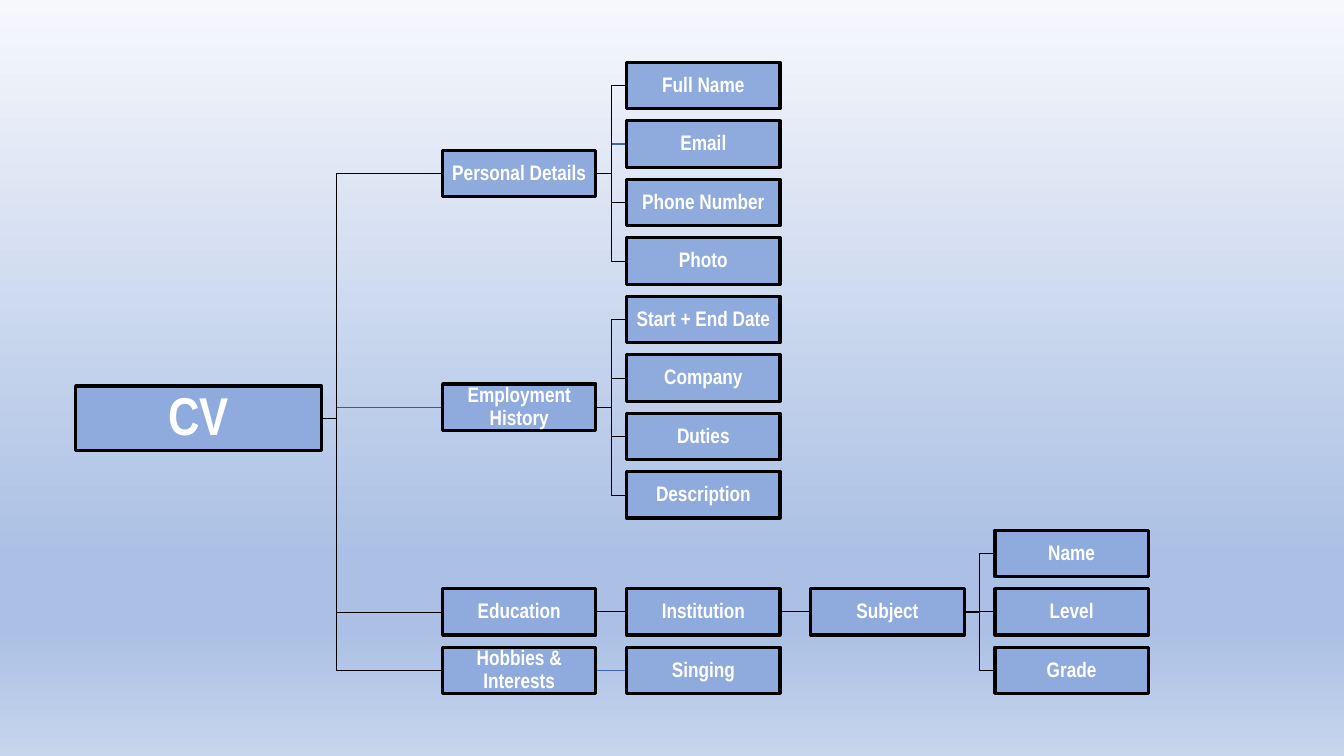
from dataclasses import dataclass

from lxml import etree
from pptx import Presentation, util as u
from pptx.dml.color import RGBColor
from pptx.enum import shapes, text
from pptx.oxml.ns import qn


@dataclass(frozen=True)
class Theme:
    """Colours, type and line weights of the slide."""
    font: str = "Arial Narrow"
    root_size: int = 38
    topic_size: int = 15
    label: str = "FFFFFF"
    box: str = "8FAADC"
    ink: str = "000000"
    blue: str = "3E67B2"
    deep_blue: str = "365B9D"
    border: float = 2.25
    thin: float = 0.5
    strong: float = 1
    backdrop: tuple = ((0, "F6F8FC"), (74, "ABC0E4"), (83, "ABC0E4"), (100, "C7D5ED"))


THEME = Theme()
WIDTH, HEIGHT = 1.52, 0.46
COLUMN_PITCH, ROW_PITCH = 1.826, 0.58


@dataclass
class Topic:
    """A topic whose row is given or is the middle of its subtopics."""
    name: str
    row: float = None
    subtopics: tuple = ()
    accent: str = None

    def __post_init__(self):
        """Centre the topic on its subtopics when no row is given."""
        if self.row is None:
            self.row = (self.subtopics[0].row + self.subtopics[-1].row) / 2


def leaves(first_row, *names, accents=None):
    """Return topics on consecutive rows."""
    return tuple(Topic(name, first_row + i, accent=(accents or {}).get(name))
                 for i, name in enumerate(names))


BRANCHES = (
    Topic("Personal Details", subtopics=leaves(
        0, "Full Name", "Email", "Phone Number", "Photo", accents={"Email": THEME.blue})),
    Topic("Employment History", accent=THEME.deep_blue, subtopics=leaves(
        4, "Start + End Date", "Company", "Duties", "Description")),
    Topic("Education", subtopics=(
        Topic("Institution", subtopics=(
            Topic("Subject", subtopics=leaves(8, "Name", "Level", "Grade")),)),)),
    Topic("Hobbies & Interests",
          subtopics=leaves(10, "Singing", accents={"Singing": THEME.blue})),
)


def paint_backdrop(slide):
    """Fill the slide with a vertical gradient."""
    fill = slide.background.fill
    fill.gradient()
    fill.gradient_angle = 270
    stops = next(slide.element.iter(qn("a:gsLst")))
    for stop in list(stops):
        stops.remove(stop)
    for percent, colour in THEME.backdrop:
        stop = etree.SubElement(stops, qn("a:gs"), pos=str(percent * 1000))
        etree.SubElement(stop, qn("a:srgbClr"), val=colour)


def add_link(slide, start, end, accent):
    """Join two points with a straight or elbowed line."""
    level = abs(start[1] - end[1]) < 0.01
    kind = shapes.MSO_CONNECTOR.STRAIGHT if level else shapes.MSO_CONNECTOR.ELBOW
    link = slide.shapes.add_connector(kind, *map(u.Inches, start + end))
    link.line.color.rgb = RGBColor.from_string(accent or THEME.ink)
    link.line.width = u.Pt(THEME.strong if accent else THEME.thin)
    etree.SubElement(link.element.spPr, qn("a:effectLst"))


def add_box(slide, name, box, size, inset):
    """Draw a bordered box with a centred name."""
    topic = slide.shapes.add_shape(shapes.MSO_SHAPE.RECTANGLE, *map(u.Inches, box))
    topic.shadow.inherit = False
    topic.fill.solid()
    topic.fill.fore_color.rgb = RGBColor.from_string(THEME.box)
    topic.line.color.rgb = RGBColor.from_string(THEME.ink)
    topic.line.width = u.Pt(THEME.border)
    frame = topic.text_frame
    frame.word_wrap = True
    frame.vertical_anchor = text.MSO_ANCHOR.MIDDLE
    frame.margin_left = frame.margin_right = u.Inches(inset)
    frame.margin_top = frame.margin_bottom = u.Inches(inset)
    line = frame.paragraphs[0]
    line.alignment = text.PP_ALIGN.CENTER
    line.line_spacing = 0.9
    label = line.add_run()
    label.text = name
    label.font.name, label.font.size, label.font.bold = THEME.font, u.Pt(size), True
    label.font.color.rgb = RGBColor.from_string(THEME.label)


def add_links(slide, topics, origin, start):
    """Link a starting point to topics and onwards to their subtopics."""
    left, top = origin
    for topic in reversed(topics):
        middle = top + topic.row * ROW_PITCH + HEIGHT / 2
        add_links(slide, topic.subtopics, (left + COLUMN_PITCH, top), (left + WIDTH, middle))
        add_link(slide, start, (left, middle), topic.accent)


def add_topics(slide, topics, origin):
    """Place topics in a column and their subtopics to the right."""
    left, top = origin
    for topic in topics:
        box = left, top + topic.row * ROW_PITCH, WIDTH, HEIGHT
        add_box(slide, topic.name, box, THEME.topic_size, 0.01)
        add_topics(slide, topic.subtopics, (left + COLUMN_PITCH, top))


def add_cv_tree(slide, root_box, origin):
    """Draw the CV tree from its root box and the branch origin."""
    left, top, width, height = root_box
    fork = left + width + 0.15
    start = 2 * fork - origin[0], top + height / 2
    add_links(slide, BRANCHES, origin, start)
    add_box(slide, "CV", root_box, THEME.root_size, 0.03)
    add_topics(slide, BRANCHES, origin)


def main():
    """Build and save the slide."""
    deck = Presentation()
    deck.slide_width, deck.slide_height = u.Inches(13.33), u.Inches(7.5)
    slide = deck.slides.add_slide(deck.slide_layouts[6])
    paint_backdrop(slide)
    add_cv_tree(slide, (0.75, 3.83, 2.44, 0.64), (4.39, 0.62))
    deck.save("out.pptx")


main()
